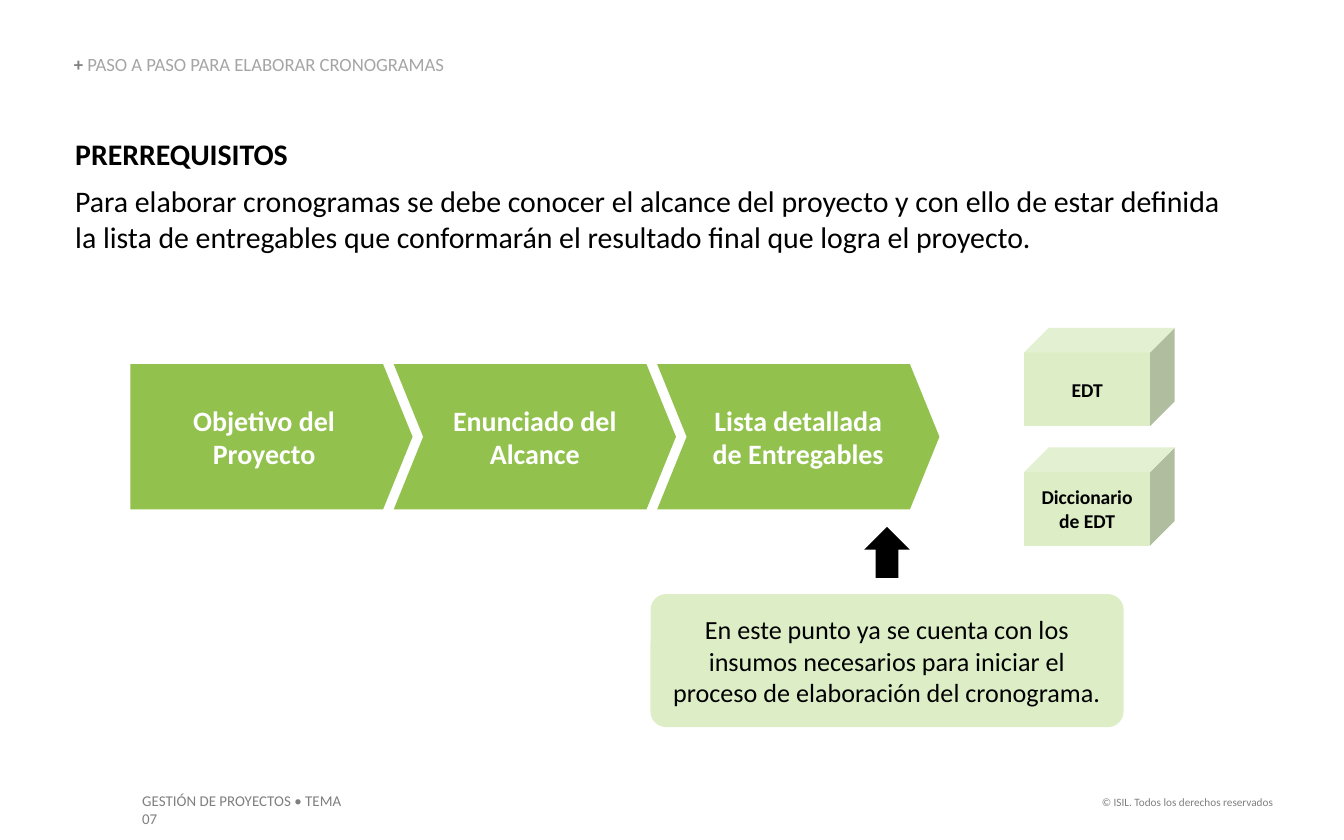
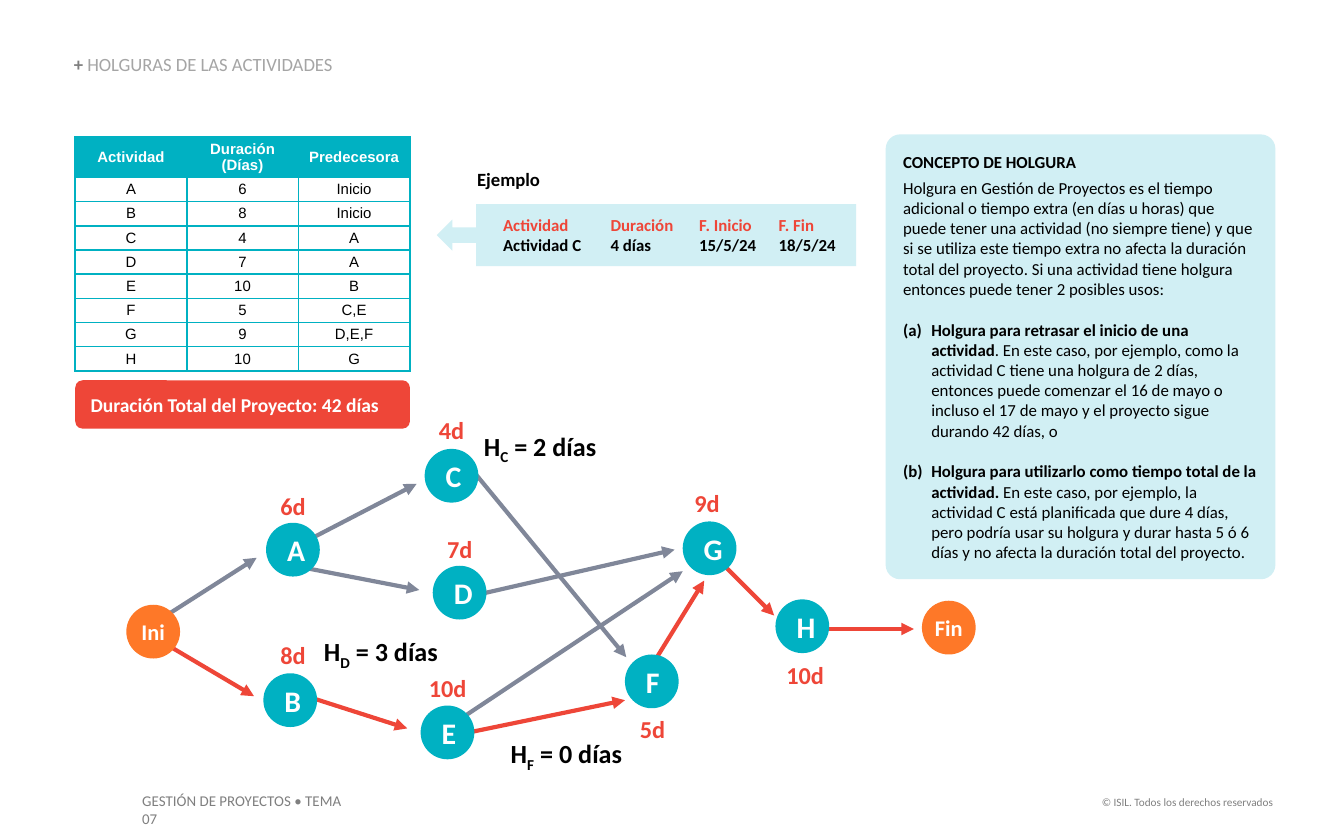
from lxml import etree
from pptx import Presentation
from pptx import util as u
from pptx.dml.color import RGBColor
from pptx.enum import shapes, text
from pptx.oxml.ns import qn

COLUMNS, ROWS = 100, 62.5
CELL = u.Inches(0.1)
FONT = "Calibri"
BLACK, WHITE, GREY, LIGHT_GREY = "000000", "FFFFFF", "7F7F7F", "A5A5A5"
GREEN, PALE_GREEN = "92C14E", "DDEEC7"
TEAL, PALE_TEAL, RED, ORANGE, SLATE = "00B1C2", "D1EFF4", "EE4638", "FE7828", "808799"
INSET, NO_INSET = (1, 0.5, 1, 0.5), (0, 0, 0, 0)
LEFT, CENTER, RIGHT = text.PP_ALIGN.LEFT, text.PP_ALIGN.CENTER, text.PP_ALIGN.RIGHT
TOP, MIDDLE, BOTTOM = text.MSO_ANCHOR.TOP, text.MSO_ANCHOR.MIDDLE, text.MSO_ANCHOR.BOTTOM
PRESET = shapes.MSO_SHAPE

ACTIVITIES = [
    ("Actividad", "Duración (Días)", "Predecesora"),
    ("A", "6", "Inicio"), ("B", "8", "Inicio"), ("C", "4", "A"), ("D", "7", "A"),
    ("E", "10", "B"), ("F", "5", "C,E"), ("G", "9", "D,E,F"), ("H", "10", "G"),
]
NODES = [
    ("C", 22.6, 3.4), ("A", 10.8, 8.9), ("D", 23.2, 12.1), ("B", 10.6, 20.1),
    ("E", 22.3, 22.5), ("F", 37.5, 18.7), ("G", 41.8, 8.8), ("H", 48.7, 14.6),
]
TERMINALS = [("Ini", 0.4, 15), ("Fin", 59.6, 14.7)]
DURATIONS = [
    ("6d", 10.9, 5.7, 3.8), ("4d", 22.7, 0.1, 3.8), ("7d", 23.3, 8.9, 3.8),
    ("9d", 41.9, 5.5, 3.4), ("8d", 10.9, 16.8, 3.8), ("10d", 22.4, 19.3, 3.8),
    ("5d", 35.8, 22.3, 7.5), ("10d", 49.2, 18.3, 3.4),
]
CRITICAL_ARROWS = [
    (3.3, 17.9, 9.9, 21.8), (13.8, 21.8, 21.3, 24.2), (25.4, 24.6, 37.5, 22.1),
    (39.7, 19.2, 43.4, 13.2), (44.3, 11.5, 48.6, 15.8), (51.6, 16.8, 59, 16.8),
]
SLACK_ARROWS = [
    (2.9, 16.1, 10.1, 11.5), (14.1, 10.1, 22, 6), (13.4, 12.2, 22.2, 13.9),
    (25.4, 23.4, 41.8, 12.5), (26.3, 14.3, 41.2, 10.9), (26, 4.8, 37.6, 18.9),
]
SLACKS = [("C", 2, 27, 2), ("D", 3, 15.1, 17.3), ("F", 0, 29, 24.9)]


def color(value):
    """Turn a hex string into a colour."""
    return RGBColor.from_string(value)


def cells(*lengths):
    """Turn grid lengths into slide lengths."""
    return [round(length * CELL) for length in lengths]


def write(shape, paragraphs, size, ink, bold=False, align=LEFT, anchor=MIDDLE, insets=INSET):
    """Fill a shape with paragraphs, each a string or a list of runs."""
    frame = shape.text_frame
    frame.word_wrap = True
    frame.auto_size = text.MSO_AUTO_SIZE.NONE
    frame.vertical_anchor = anchor
    frame.margin_left, frame.margin_top, frame.margin_right, frame.margin_bottom = cells(*insets)
    for index, content in enumerate(paragraphs):
        paragraph = frame.add_paragraph() if index else frame.paragraphs[0]
        if isinstance(content, str):
            paragraph.text = content
        else:
            for piece in content:
                paragraph.add_run().text = piece
        paragraph.alignment = align
        style(paragraph.font, size, ink, bold)
    return frame.paragraphs


def style(font, size, ink, bold, name=FONT):
    """Set the look of a font."""
    font.name, font.size, font.bold = name, u.Pt(size), bold
    font.color.rgb = color(ink)


def add_text(slide, box, paragraphs, size, ink, anchor=TOP, insets=NO_INSET, **looks):
    """Add a text box and return its paragraphs."""
    shape = slide.shapes.add_textbox(*cells(*box))
    return write(shape, paragraphs, size, ink, anchor=anchor, insets=insets, **looks)


def add_preset(slide, kind, box, fill=None, adjustments=()):
    """Add a flat preset shape without outline."""
    shape = slide.shapes.add_shape(kind, *cells(*box))
    shape.shadow.inherit = False
    if fill:
        shape.fill.solid()
        shape.fill.fore_color.rgb = color(fill)
    else:
        shape.fill.background()
    shape.line.fill.background()
    for index, value in enumerate(adjustments):
        shape.adjustments[index] = value
    return shape


def add_arrow(slide, begin_x, begin_y, end_x, end_y, ink):
    """Add a straight arrow."""
    connector = slide.shapes.add_connector(
        shapes.MSO_CONNECTOR.STRAIGHT, *cells(begin_x, begin_y, end_x, end_y))
    connector.line.color.rgb = color(ink)
    connector.line.width = u.Pt(2.25)
    properties = connector._element.spPr
    etree.SubElement(properties.find(qn("a:ln")), qn("a:tailEnd"), type="triangle")
    etree.SubElement(properties, qn("a:effectLst"))


def add_page(presentation, title):
    """Add a slide with its title and footers."""
    slide = presentation.slides.add_slide(presentation.slide_layouts[5])
    shape = slide.shapes.title
    shape.left, shape.top, shape.width, shape.height = cells(5.5, 4.1, 33.4, 1.5)
    paragraph = write(shape, [["+ ", title]], 10, LIGHT_GREY, anchor=BOTTOM, insets=NO_INSET)[0]
    paragraph.line_spacing = 0.9
    style(paragraph.runs[0].font, 10, GREY, True)
    add_text(slide, (79.1, 58.7, 16.6, 2), ["© ISIL. Todos los derechos reservados"],
             6, GREY, align=RIGHT, insets=INSET)
    add_text(slide, (9.6, 58.4, 19, 2.4), ["GESTIÓN DE PROYECTOS • TEMA 07"],
             8, GREY, insets=(1, 0.5, 2.5, 0.5))
    return slide


def add_introduction(slide, box):
    """Add the heading and the sentence below it."""
    heading, body = add_text(slide, box, [
        "PRERREQUISITOS",
        "Para elaborar cronogramas se debe conocer el alcance del proyecto y con ello de estar "
        "definida la lista de entregables que conformarán el resultado final que logra el proyecto.",
    ], 16, BLACK)
    heading.font.bold = True
    body.space_before = u.Pt(6)


def add_process(slide, box):
    """Add the row of steps."""
    left, top, width, height = box
    steps = ["Objetivo del Proyecto", "Enunciado del Alcance", "Lista detallada de Entregables"]
    step_width = 21
    pitch = (width - step_width) / (len(steps) - 1)
    for index, label in enumerate(steps):
        kind = PRESET.CHEVRON if index else PRESET.PENTAGON
        step = add_preset(slide, kind, (left + index * pitch, top, step_width, height), GREEN, [0.203])
        write(step, [label], 15, WHITE, True, CENTER)


def add_cubes(slide, box):
    """Stack the two deliverable cubes."""
    left, top, width, height = box
    cube_height = 7.3
    for index, label in enumerate(["EDT", "Diccionario\vde EDT"]):
        cube_top = top + index * (height - cube_height)
        cube = add_preset(slide, PRESET.CUBE, (left, cube_top, width, cube_height), PALE_GREEN, [0.25])
        write(cube, [label], 10.5, BLACK, True, CENTER, insets=NO_INSET)


def add_note(slide, box):
    """Add the note and the arrow that rises from it."""
    left, top, width, height = box
    add_preset(slide, PRESET.UP_ARROW, (left + 15.9, top - 5, 3.4, 3.8), BLACK)
    note = add_preset(slide, PRESET.ROUNDED_RECTANGLE, box, PALE_GREEN, [0.118])
    write(note, ["En este punto ya se cuenta con los insumos necesarios para iniciar el "
                 "proceso de elaboración del cronograma."], 14, BLACK, align=CENTER)


def add_network(slide, box):
    """Draw the activity network with durations and slacks."""
    left, top = box[:2]
    for label, x, y, width in DURATIONS:
        shape = add_preset(slide, PRESET.RECTANGLE, (left + x, top + y, width, 3.8),
                           WHITE if width < 4 else None)
        write(shape, [label], 13, RED, True, CENTER, insets=NO_INSET)
    for arrows, ink in ((CRITICAL_ARROWS, RED), (SLACK_ARROWS, SLATE)):
        for begin_x, begin_y, end_x, end_y in arrows:
            add_arrow(slide, left + begin_x, top + begin_y, left + end_x, top + end_y, ink)
    for nodes, fill, size, insets in ((NODES, TEAL, 16, INSET), (TERMINALS, ORANGE, 12, NO_INSET)):
        for label, x, y in nodes:
            node = add_preset(slide, PRESET.OVAL, (left + x, top + y, 4, 4), fill)
            write(node, [label], size, WHITE, True, CENTER, insets=insets)
    for activity, days, x, y in SLACKS:
        paragraph = add_text(slide, (left + x, top + y, 10.2, 2.4),
                             [["H", activity, f" = {days} días"]], 14, BLACK, bold=True)[0]
        paragraph.runs[1]._r.get_or_add_rPr().set("baseline", "-25000")


def add_example(slide, box):
    """Add the example heading and its callout."""
    left, top, width, height = box
    add_text(slide, (left + 3, top, 7.9, 1.7), ["Ejemplo"], 10, BLACK, bold=True)
    callout = add_preset(slide, PRESET.LEFT_ARROW_CALLOUT, (left, top + 2.7, width, height - 2.7),
                         PALE_TEAL, [0.25, 0.25, 0.25, 0.906])
    header, values = write(callout, ["Actividad\tDuración\tF. Inicio\tF. Fin",
                                     "Actividad C\t4 días\t15/5/24\t18/5/24"],
                           9, BLACK, True, insets=(2, 0.4, 0.8, 0.4))
    header.font.color.rgb = color(RED)
    for paragraph in (header, values):
        tabs = etree.Element(qn("a:tabLst"))
        for position in cells(8, 14.6, 20.5):
            etree.SubElement(tabs, qn("a:tab"), pos=str(position), algn="l")
        paragraph._p.get_or_add_pPr().insert(0, tabs)


def add_concept(slide, box):
    """Add the panel that explains slack."""
    panel = add_preset(slide, PRESET.ROUNDED_RECTANGLE, box, PALE_TEAL, [0.037])
    heading, definition, *uses = write(panel, [
        "CONCEPTO DE HOLGURA",
        "Holgura en Gestión de Proyectos es el tiempo adicional o tiempo extra (en días u horas) "
        "que puede tener una actividad (no siempre tiene) y que si se utiliza este tiempo extra no "
        "afecta la duración total del proyecto. Si una actividad tiene holgura entonces puede tener "
        "2 posibles usos:",
        ["Holgura para retrasar el inicio de una actividad",
         ". En este caso, por ejemplo, como la actividad C tiene una holgura de 2 días, entonces "
         "puede comenzar el 16 de mayo o incluso el 17 de mayo y el proyecto sigue durando 42 días, o"],
        ["Holgura para utilizarlo como tiempo total de la actividad.",
         " En este caso, por ejemplo, la actividad C está planificada que dure 4 días, pero podría "
         "usar su holgura y durar hasta 5 ó 6 días y no afecta la duración total del proyecto."],
    ], 9, BLACK)
    heading.font.bold = True
    definition.space_before = u.Pt(3)
    indent = cells(2.1)[0]
    for use in uses:
        use.runs[0].font.bold = True
        properties = use._p.get_or_add_pPr()
        properties.set("marL", str(indent))
        properties.set("indent", str(-indent))
        bullet = etree.Element(qn("a:buAutoNum"), type="alphaLcParenBoth")
        properties.insert(0, bullet)
        use.space_before = u.Pt(11)


def add_activities(slide, box):
    """Add the activity table and the total below it."""
    left, top, width, height = box
    header_height, row_height = 3, 1.8
    table_height = header_height + row_height * (len(ACTIVITIES) - 1)
    table = slide.shapes.add_table(len(ACTIVITIES), 3, *cells(left, top, width, table_height)).table
    for column in table.columns:
        column.width = cells(width / 3)[0]
    for row_index, values in enumerate(ACTIVITIES):
        is_header = row_index == 0
        table.rows[row_index].height = cells(header_height if is_header else row_height)[0]
        for column_index, value in enumerate(values):
            fill_cell(table.cell(row_index, column_index), value, is_header)
    total = add_preset(slide, PRESET.ROUNDED_RECTANGLE,
                       (left, top + height - 3.6, width, 3.6), RED, [0.153])
    write(total, ["Duración Total del Proyecto: 42 días"], 10.5, WHITE, True)


def fill_cell(cell, value, is_header):
    """Write one bordered table cell."""
    cell.margin_left, cell.margin_top, cell.margin_right, cell.margin_bottom = cells(0.4, 0.2, 0.4, 0.2)
    cell.vertical_anchor = MIDDLE
    properties = cell._tc.get_or_add_tcPr()
    for side in "LRTB":
        border = etree.SubElement(properties, qn(f"a:ln{side}"), w=str(u.Pt(1)))
        fill = etree.SubElement(border, qn("a:solidFill"))
        etree.SubElement(fill, qn("a:srgbClr"), val=TEAL)
    cell.fill.solid()
    cell.fill.fore_color.rgb = color(TEAL if is_header else WHITE)
    paragraph = cell.text_frame.paragraphs[0]
    paragraph.text = value
    paragraph.alignment = CENTER
    style(paragraph.font, 8, WHITE if is_header else BLACK, is_header, "Arial")


def main():
    """Build and save both slides."""
    presentation = Presentation()
    presentation.slide_width, presentation.slide_height = cells(COLUMNS, ROWS)

    prerequisites = add_page(presentation, "PASO A PASO PARA ELABORAR CRONOGRAMAS")
    add_introduction(prerequisites, (5.6, 10.1, 87, 8.9))
    add_process(prerequisites, (9.7, 27.1, 60.2, 10.8))
    add_cubes(prerequisites, (76.2, 24.4, 11.2, 16.2))
    add_note(prerequisites, (48.4, 44.2, 35.2, 9.9))

    slack = add_page(presentation, "HOLGURAS DE LAS ACTIVIDADES")
    add_network(slack, (9, 30, 64, 27))
    add_example(slack, (32.5, 12.5, 31.2, 7.3))
    add_concept(slack, (65.9, 10, 29, 33.1))
    add_activities(slack, (5.6, 10.2, 24.9, 21.7))

    presentation.save("out.pptx")


if __name__ == "__main__":
    main()
